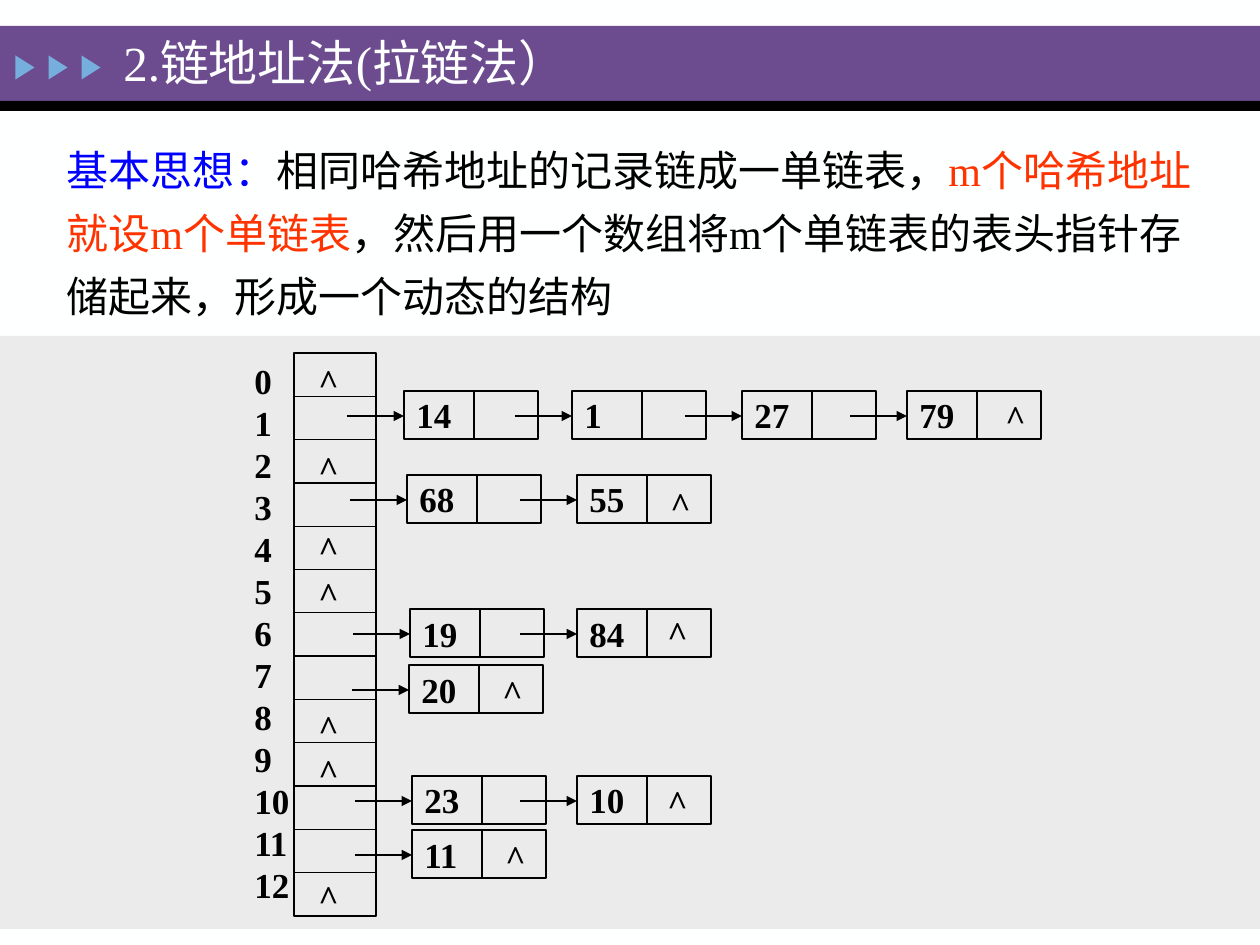
from lxml import etree
from pptx import Presentation
from pptx.dml.color import RGBColor
from pptx.enum.shapes import MSO_CONNECTOR, MSO_SHAPE
from pptx.enum.text import MSO_ANCHOR, PP_ALIGN
from pptx.oxml.ns import qn
from pptx.util import Pt

RECTANGLE = MSO_SHAPE.RECTANGLE
TRIANGLE = MSO_SHAPE.ISOSCELES_TRIANGLE
STRAIGHT = MSO_CONNECTOR.STRAIGHT
TOP, MIDDLE = MSO_ANCHOR.TOP, MSO_ANCHOR.MIDDLE
LEFT = PP_ALIGN.LEFT

FONT = "Times New Roman"
BLACK, WHITE = "000000", "FEFFFF"

TITLE = "2.链地址法(拉链法）"
IDEA = [
    ("基本思想：", "0000FF"),
    ("相同哈希地址的记录链成一单链表，", BLACK),
    ("m个哈希地址就设m个单链表", "FF3300"),
    ("，然后用一个数组将m个单链表的表头指针存储起来，形成一个动态的结构", BLACK),
]
BANDS = [
    (0, 26, 1260, 75, "6C4C8F"),
    (0, 101, 1260, 10, BLACK),
    (0, 336, 1260, 593, "EBEBEB"),
]
SLOT_COUNT = 13
EMPTY_SLOT_TOPS = [353, 440, 520, 566, 699, 743, 869]
CHAINS = [
    {"top": 391, "nodes": [("14", 404), ("1", 572), ("27", 742), ("79", 907)], "end": (993, 389)},
    {"top": 475, "nodes": [("68", 407), ("55", 577)], "end": (658, 476)},
    {"top": 609, "nodes": [("19", 410), ("84", 577)], "end": (655, 605)},
    {"top": 665, "nodes": [("20", 409)], "end": (490, 664)},
    {"top": 776, "nodes": [("23", 412), ("10", 577)], "end": (655, 774)},
    {"top": 830, "nodes": [("11", 412)], "end": (493, 829)},
]
TABLE_LEFT, TABLE_TOP, TABLE_WIDTH, TABLE_HEIGHT = 294, 353, 82, 563
NODE_WIDTH, NODE_HEIGHT, DIVIDER = 134, 48, 70
ARROW_LENGTH, ARROW_DROP = 57, 25
NIL_LEFT = 306


def px(value):
    return round(value * 914400 / 126)


def color(value):
    return RGBColor.from_string(value)


presentation = Presentation()
presentation.slide_width = px(1260)
presentation.slide_height = px(945)
slide = presentation.slides.add_slide(presentation.slide_layouts[6])
slide.background.fill.solid()
slide.background.fill.fore_color.rgb = color(WHITE)


def add_box(left, top, width, height, fill=None, line=None, kind=RECTANGLE):
    shape = slide.shapes.add_shape(kind, px(left), px(top), px(width), px(height))
    shape.shadow.inherit = False
    if fill:
        shape.fill.solid()
        shape.fill.fore_color.rgb = color(fill)
    else:
        shape.fill.background()
    if line:
        shape.line.color.rgb = color(line)
        shape.line.width = Pt(0.75)
    else:
        shape.line.fill.background()
    return shape


def add_line(x1, y1, x2, y2, arrow=False):
    connector = slide.shapes.add_connector(STRAIGHT, px(x1), px(y1), px(x2), px(y2))
    connector.line.color.rgb = color(BLACK)
    connector.line.width = Pt(0.75)
    if arrow:
        etree.SubElement(connector.line._get_or_add_ln(), qn("a:tailEnd"), type="triangle")
    etree.SubElement(connector._element.spPr, qn("a:effectLst"))


def write(shape, paragraphs, size=20, bold=True, anchor=TOP, wrap=True, spacing=None):
    frame = shape.text_frame
    frame.word_wrap = wrap
    frame.vertical_anchor = anchor
    for index, runs in enumerate(paragraphs):
        paragraph = frame.add_paragraph() if index else frame.paragraphs[0]
        paragraph.alignment = LEFT
        paragraph.line_spacing = spacing
        for text, run_color in runs:
            run = paragraph.add_run()
            run.text = text
            run.font.name = FONT
            run.font.size = Pt(size)
            run.font.bold = bold
            run.font.color.rgb = color(run_color)


def add_text(left, top, width, height, paragraphs, **style):
    box = slide.shapes.add_textbox(px(left), px(top), px(width), px(height))
    write(box, paragraphs, **style)


def add_nil(left, top):
    add_text(left, top, 45, 54, [[("^", BLACK)]], wrap=False)


def add_node(value, left, top):
    node = add_box(left, top, NODE_WIDTH, NODE_HEIGHT, line=BLACK)
    write(node, [[(value, BLACK)]], anchor=MIDDLE)
    add_line(left + DIVIDER, top, left + DIVIDER, top + NODE_HEIGHT)
    arrow_y = top + ARROW_DROP
    add_line(left - ARROW_LENGTH, arrow_y, left, arrow_y, arrow=True)


for band in BANDS:
    add_box(*band)
for index in range(3):
    add_box(13 + 33 * index, 58, 24, 19, fill="76AEDD", kind=TRIANGLE).rotation = 90

add_text(111, 26, 605, 71, [[(TITLE, WHITE)]], size=28, bold=False, anchor=MIDDLE)
add_text(54, 126, 1179, 203, [IDEA], size=24, bold=False, spacing=1.25)

add_box(TABLE_LEFT, TABLE_TOP, TABLE_WIDTH, TABLE_HEIGHT, line=BLACK)
for slot in range(1, SLOT_COUNT):
    y = TABLE_TOP + TABLE_HEIGHT * slot / SLOT_COUNT
    add_line(TABLE_LEFT, y, TABLE_LEFT + TABLE_WIDTH, y)
slot_labels = [[(str(slot), BLACK)] for slot in range(SLOT_COUNT)]
add_text(242, TABLE_TOP, 64, 564, slot_labels, spacing=Pt(24))
for top in EMPTY_SLOT_TOPS:
    add_nil(NIL_LEFT, top)

for chain in CHAINS:
    for value, left in chain["nodes"]:
        add_node(value, left, chain["top"])
    add_nil(*chain["end"])

presentation.save("out.pptx")
